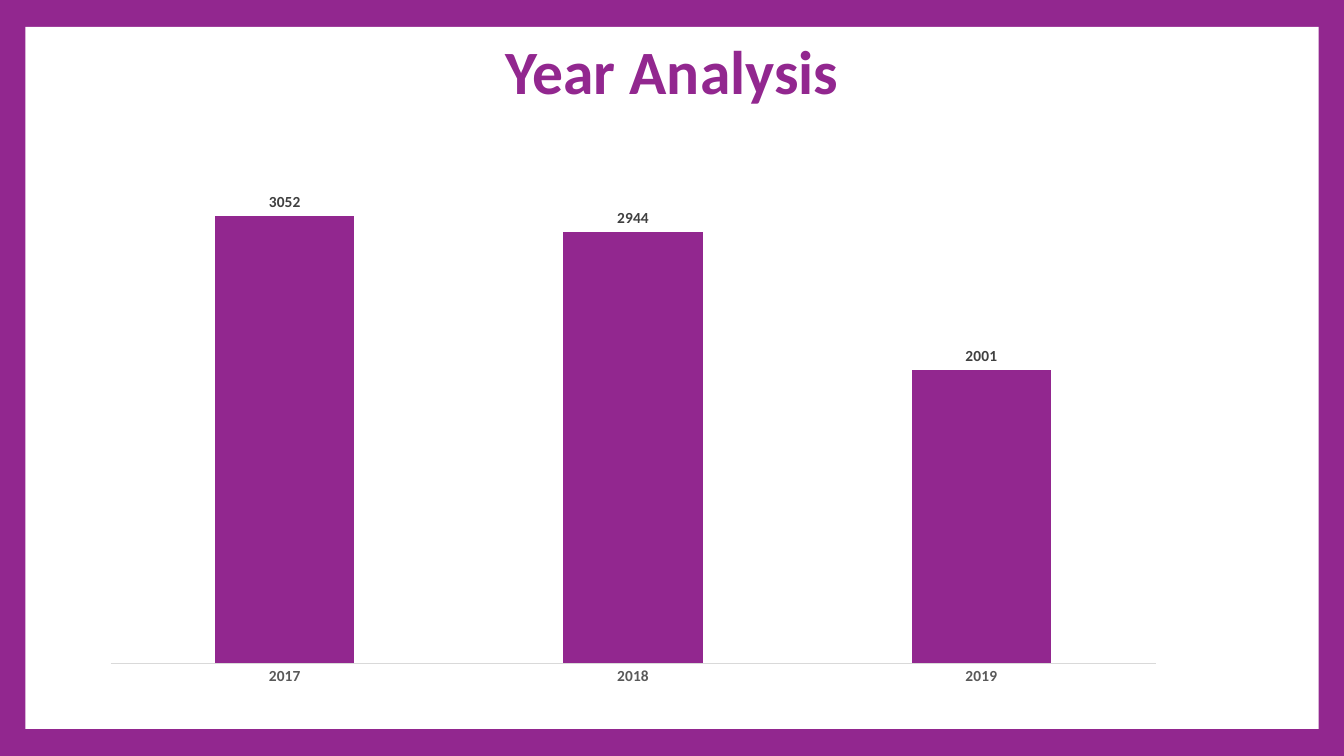
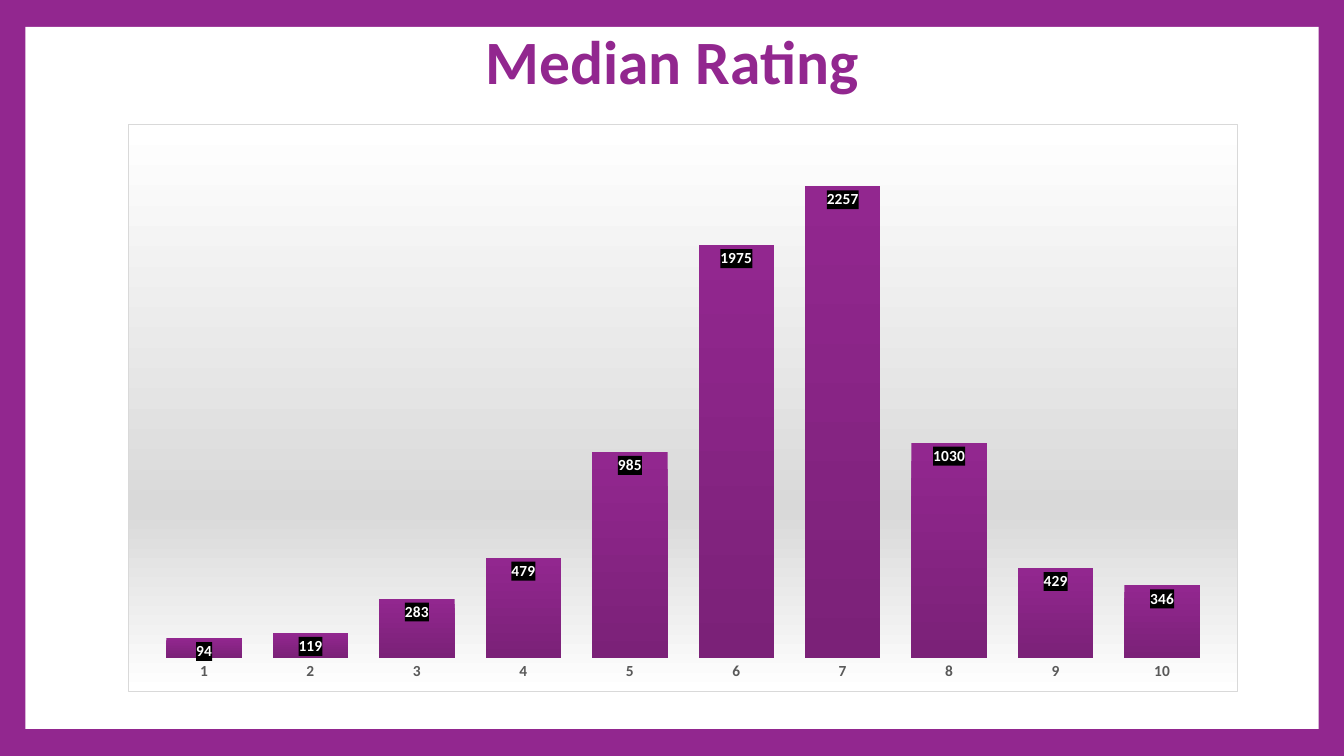
"""Builds two slides with column charts on a shared framed background."""
import lxml.etree
import pptx
import pptx.chart.data
import pptx.dml.color
import pptx.enum.chart
import pptx.enum.shapes
import pptx.enum.text
import pptx.oxml
import pptx.oxml.ns
import pptx.util

Cm = pptx.util.Cm
Pt = pptx.util.Pt
SLIDE_WIDTH, SLIDE_HEIGHT = 33.87, 19.05
MARGIN_X, MARGIN_Y = 0.64, 0.68
PURPLE, DARK_PURPLE = "92278F", "7B2178"
WHITE, BLACK, SILVER = "FFFFFF", "000000", "D9D9D9"
AXIS_GREY, LABEL_GREY = "595959", "404040"


def color(value):
    """Turn a hex string into a colour."""
    return pptx.dml.color.RGBColor.from_string(value)


def style_font(font, size, value, name="Calibri", bold=True):
    """Set the face, size, weight and colour of a font."""
    font.name, font.size, font.bold = name, Pt(size), bold
    font.color.rgb = color(value)


def shape_properties(content):
    """Make a chart spPr element holding the given drawing XML."""
    namespaces = pptx.oxml.ns.nsdecls("c", "a")
    return pptx.oxml.parse_xml(f"<c:spPr {namespaces}>{content}</c:spPr>")


def solid(value):
    """Write a solid fill as XML."""
    return f'<a:solidFill><a:srgbClr val="{value}"/></a:solidFill>'


def add_framed_slide(deck):
    """Add a slide with the purple frame and white panel."""
    slide = deck.slides.add_slide(deck.slide_layouts[6])
    slide.background.fill.solid()
    slide.background.fill.fore_color.rgb = color(PURPLE)
    panel = slide.shapes.add_shape(
        pptx.enum.shapes.MSO_SHAPE.RECTANGLE, Cm(MARGIN_X), Cm(MARGIN_Y),
        Cm(SLIDE_WIDTH - 2 * MARGIN_X), Cm(SLIDE_HEIGHT - 2 * MARGIN_Y))
    panel.shadow.inherit = False
    panel.fill.solid()
    panel.fill.fore_color.rgb = color(WHITE)
    panel.line.fill.background()
    return slide


def add_title(slide, text, box):
    """Place the centred slide title in its box."""
    frame = slide.shapes.add_textbox(*map(Cm, box)).text_frame
    frame.word_wrap = True
    frame.vertical_anchor = pptx.enum.text.MSO_ANCHOR.MIDDLE
    frame.text = text
    heading = frame.paragraphs[0]
    heading.alignment = pptx.enum.text.PP_ALIGN.CENTER
    heading.line_spacing = 0.9
    style_font(heading.runs[0].font, 44, PURPLE)


def add_columns(slide, categories, values, box, gap, top, label_color, position):
    """Place a labelled single-series column chart in its box."""
    chart_data = pptx.chart.data.CategoryChartData()
    chart_data.categories = categories
    chart_data.add_series("Series 1", values)
    chart = slide.shapes.add_chart(
        pptx.enum.chart.XL_CHART_TYPE.COLUMN_CLUSTERED,
        *map(Cm, box), chart_data).chart
    chart.has_title = chart.has_legend = False
    style_font(chart.font, 10, BLACK, "Lato", False)

    scale = chart.value_axis
    scale.visible = scale.has_major_gridlines = False
    scale.minimum_scale, scale.maximum_scale = 0, top
    axis = chart.category_axis
    axis.major_tick_mark = pptx.enum.chart.XL_TICK_MARK.NONE
    style_font(axis.tick_labels.font, 11, AXIS_GREY)
    axis.format.line.width = Pt(0.75)
    axis.format.line.color.rgb = color(SILVER)

    plot = chart.plots[0]
    plot.gap_width, plot.vary_by_categories = gap, False
    columns = plot.series[0]
    columns.format.fill.solid()
    columns.format.fill.fore_color.rgb = color(PURPLE)
    labels = columns.data_labels
    labels.show_value = True
    labels.position = position
    style_font(labels.font, 11, label_color)
    return chart


def shade_chart(chart):
    """Give a chart a graded backdrop, graded columns and black label boxes."""
    stops = "".join(
        f'<a:gs pos="{percent * 1000}"><a:srgbClr val="{value}"/></a:gs>'
        for percent, value in ((0, WHITE), (68, SILVER), (100, WHITE)))
    backdrop = shape_properties(
        f'<a:gradFill><a:gsLst>{stops}</a:gsLst><a:lin ang="5400000" scaled="0"/>'
        f'</a:gradFill><a:ln w="9525">{solid(SILVER)}</a:ln>')
    chart.element.find(pptx.oxml.ns.qn("c:chart")).addnext(backdrop)
    chart.category_axis.format.line.fill.background()

    columns = chart.plots[0].series[0]
    fill = columns.format.fill
    fill.gradient()
    fill.gradient_angle = 270
    for stop, position, value in zip(
            fill.gradient_stops, (0, 1), (PURPLE, DARK_PURPLE)):
        stop.position = position
        stop.color.rgb = color(value)
    label_text = columns.data_labels.font and chart.element.find(
        ".//" + pptx.oxml.ns.qn("c:ser") + "/" + pptx.oxml.ns.qn("c:dLbls")
        + "/" + pptx.oxml.ns.qn("c:txPr"))
    label_text.addprevious(shape_properties(solid(BLACK)))


def build_year_slide(deck):
    """Build the slide on titles per year."""
    slide = add_framed_slide(deck)
    add_title(slide, "Year Analysis", (3.23, 0.81, 27.43, 2.16))
    add_columns(slide, ("2017", "2018", "2019"), (3052, 2944, 2001),
                (2.24, 3.5, 27.43, 14.07), 150, 3500, LABEL_GREY,
                pptx.enum.chart.XL_LABEL_POSITION.OUTSIDE_END)


def build_rating_slide(deck):
    """Build the slide on the spread of median ratings."""
    slide = add_framed_slide(deck)
    add_title(slide, "Median Rating", (3.23, 0.48, 27.43, 2.29))
    ratings = [str(rating) for rating in range(1, 11)]
    counts = (94, 119, 283, 479, 985, 1975, 2257, 1030, 429, 346)
    chart = add_columns(slide, ratings, counts, (3.23, 3.12, 27.97, 14.33),
                        41, 2500, WHITE,
                        pptx.enum.chart.XL_LABEL_POSITION.INSIDE_END)
    shade_chart(chart)


def main():
    """Build and save the presentation."""
    deck = pptx.Presentation()
    deck.slide_width, deck.slide_height = Cm(SLIDE_WIDTH), Cm(SLIDE_HEIGHT)
    build_year_slide(deck)
    build_rating_slide(deck)
    deck.save("out.pptx")


if __name__ == "__main__":
    main()
